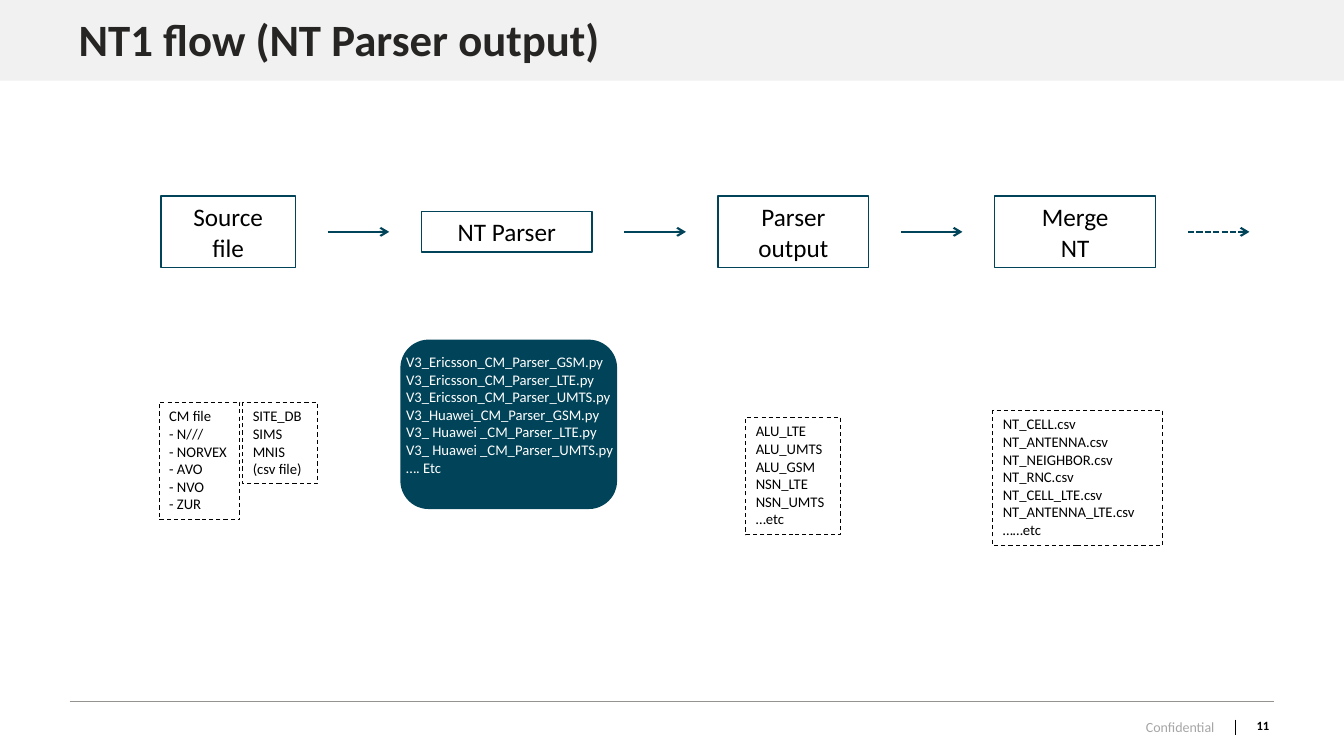
from lxml.etree import SubElement
from pptx import Presentation
from pptx.dml.color import RGBColor
from pptx.enum.dml import MSO_LINE
from pptx.enum.shapes import MSO_CONNECTOR, MSO_SHAPE
from pptx.enum.text import MSO_ANCHOR, PP_ALIGN
from pptx.oxml.ns import qn
from pptx.util import Pt

STAGE_CENTRE, STAGE_GAP, ARROW_LENGTH = 165.6, 90, 44
LINE_HEIGHT, VERTICAL_INSETS = 12.8, 7.2

STAGES = [
    (["Source", "file"], 96, 51),
    (["NT Parser"], 122, 29),
    (["Parser output"], 107.5, 51),
    (["Merge", "NT"], 115, 51),
]
FILE_LISTS = [
    (113.8, 287.3, 57.6, ["CM file", "- N///", "- NORVEX", "- AVO", "- NVO", "- ZUR"]),
    (173.5, 287.3, 53.3, ["SITE_DB", "SIMS", "MNIS", "(csv file)"]),
    (532.8, 298, 67.7, ["ALU_LTE", "ALU_UMTS", "ALU_GSM", "NSN_LTE", "NSN_UMTS", "…etc"]),
    (709.2, 293, 121, ["NT_CELL.csv", "NT_ANTENNA.csv", "NT_NEIGHBOR.csv", "NT_RNC.csv",
                       "NT_CELL_LTE.csv", "NT_ANTENNA_LTE.csv", "……etc"]),
]
PARSER_SCRIPTS = [
    "V3_Ericsson_CM_Parser_GSM.py",
    "V3_Ericsson_CM_Parser_LTE.py",
    "V3_Ericsson_CM_Parser_UMTS.py",
    "V3_Huawei_CM_Parser_GSM.py",
    "V3_ Huawei _CM_Parser_LTE.py",
    "V3_ Huawei _CM_Parser_UMTS.py",
    "…. Etc",
]


def colour(value):
    """Turn a hex string into a colour."""
    return RGBColor.from_string(value)


class FlowSlide:
    """Hold the style and the current slide."""

    font = "Calibri"
    teal, black, white = "014358", "000000", "FFFFFF"
    band, title_ink, rule, footer = "F1F1F1", "262524", "95928F", "A6A6A6"

    def __init__(self, presentation):
        """Add a title-only slide."""
        self.slide = presentation.slides.add_slide(presentation.slide_layouts[5])

    def set_text(self, shape, lines, size, ink, bold=False, align=PP_ALIGN.LEFT,
                 anchor=MSO_ANCHOR.TOP):
        """Fill a shape with one paragraph per line."""
        frame = shape.text_frame
        frame.word_wrap = True
        frame.vertical_anchor = anchor
        frame.text = "\n".join(lines)
        for paragraph in frame.paragraphs:
            paragraph.alignment = align
            paragraph.font.name = self.font
            paragraph.font.size = Pt(size)
            paragraph.font.bold = bold
            paragraph.font.color.rgb = colour(ink)

    def title(self, text, left, top, width, height):
        """Place the title in front of the band."""
        shape = self.slide.shapes.title
        shape.left, shape.top, shape.width, shape.height = map(Pt, (left, top, width, height))
        self.set_text(shape, [text], 32, self.title_ink, bold=True)
        shape.text_frame.paragraphs[0].line_spacing = 0.9
        shape.element.getparent().append(shape.element)

    def box(self, left, top, width, height, fill=None, line=None, weight=1, dash=None,
            preset=MSO_SHAPE.RECTANGLE):
        """Draw a preset shape."""
        shape = self.slide.shapes.add_shape(preset, *map(Pt, (left, top, width, height)))
        shape.shadow.inherit = False
        if fill:
            shape.fill.solid()
            shape.fill.fore_color.rgb = colour(fill)
        else:
            shape.fill.background()
        if line:
            shape.line.color.rgb = colour(line)
            shape.line.width = Pt(weight)
            shape.line.dash_style = dash
        else:
            shape.line.fill.background()
        return shape

    def text(self, lines, left, top, width, height, size, ink, **style):
        """Add a text box."""
        shape = self.slide.shapes.add_textbox(*map(Pt, (left, top, width, height)))
        self.set_text(shape, lines, size, ink, **style)

    def line(self, start, end, ink, weight, dash=None, arrow=False):
        """Draw a straight line, with an arrowhead if asked."""
        connector = self.slide.shapes.add_connector(
            MSO_CONNECTOR.STRAIGHT, *map(Pt, (*start, *end)))
        connector.line.color.rgb = colour(ink)
        connector.line.width = Pt(weight)
        connector.line.dash_style = dash
        if arrow:
            outline = connector.element.spPr.find(qn("a:ln"))
            SubElement(outline, qn("a:tailEnd"), type="arrow")
        SubElement(connector.element.spPr, qn("a:effectLst"))

    def stage(self, lines, left, width, height):
        """Draw a stage of the flow, centred on the flow line."""
        shape = self.box(left, STAGE_CENTRE - height / 2, width, height, self.white, self.teal)
        self.set_text(shape, lines, 18, self.black, align=PP_ALIGN.CENTER,
                      anchor=MSO_ANCHOR.MIDDLE)

    def file_list(self, left, top, width, lines):
        """Draw a dashed box as tall as its lines."""
        height = len(lines) * LINE_HEIGHT + VERTICAL_INSETS
        shape = self.box(left, top, width, height, line=self.black, weight=0.75,
                         dash=MSO_LINE.DASH)
        self.set_text(shape, lines, 10.5, self.black)


def main():
    """Build and save the slide."""
    presentation = Presentation()
    presentation.slide_width, presentation.slide_height = Pt(960), Pt(540)
    flow = FlowSlide(presentation)

    flow.box(0, 0, 960, 57.6, flow.band)
    flow.title("NT1 flow (NT Parser output)", 49, 9.4, 859, 39.6)

    flow.line((49.7, 501), (910, 501), flow.rule, 0.25)
    flow.line((882.7, 514), (882.7, 525), flow.black, 1)
    flow.text(["Confidential"], 811.4, 509.8, 65.5, 19.4, 10, flow.footer)
    flow.text(["11"], 877, 504, 36.7, 28.8, 9, flow.black, bold=True,
              align=PP_ALIGN.RIGHT, anchor=MSO_ANCHOR.MIDDLE)

    left = 115
    for lines, width, height in STAGES:
        flow.stage(lines, left, width, height)
        start = left + width + (STAGE_GAP - ARROW_LENGTH) / 2
        dash = MSO_LINE.SQUARE_DOT if lines == STAGES[-1][0] else None
        flow.line((start, STAGE_CENTRE), (start + ARROW_LENGTH, STAGE_CENTRE),
                  flow.teal, 1.5, dash, arrow=True)
        left += width + STAGE_GAP

    for file_list in FILE_LISTS:
        flow.file_list(*file_list)

    flow.box(286, 242.6, 154.8, 121, flow.teal, preset=MSO_SHAPE.ROUNDED_RECTANGLE)
    flow.text(PARSER_SCRIPTS, 283, 248.4, 165.6, 108.7, 10.5, flow.white)

    presentation.save("out.pptx")


if __name__ == "__main__":
    main()
